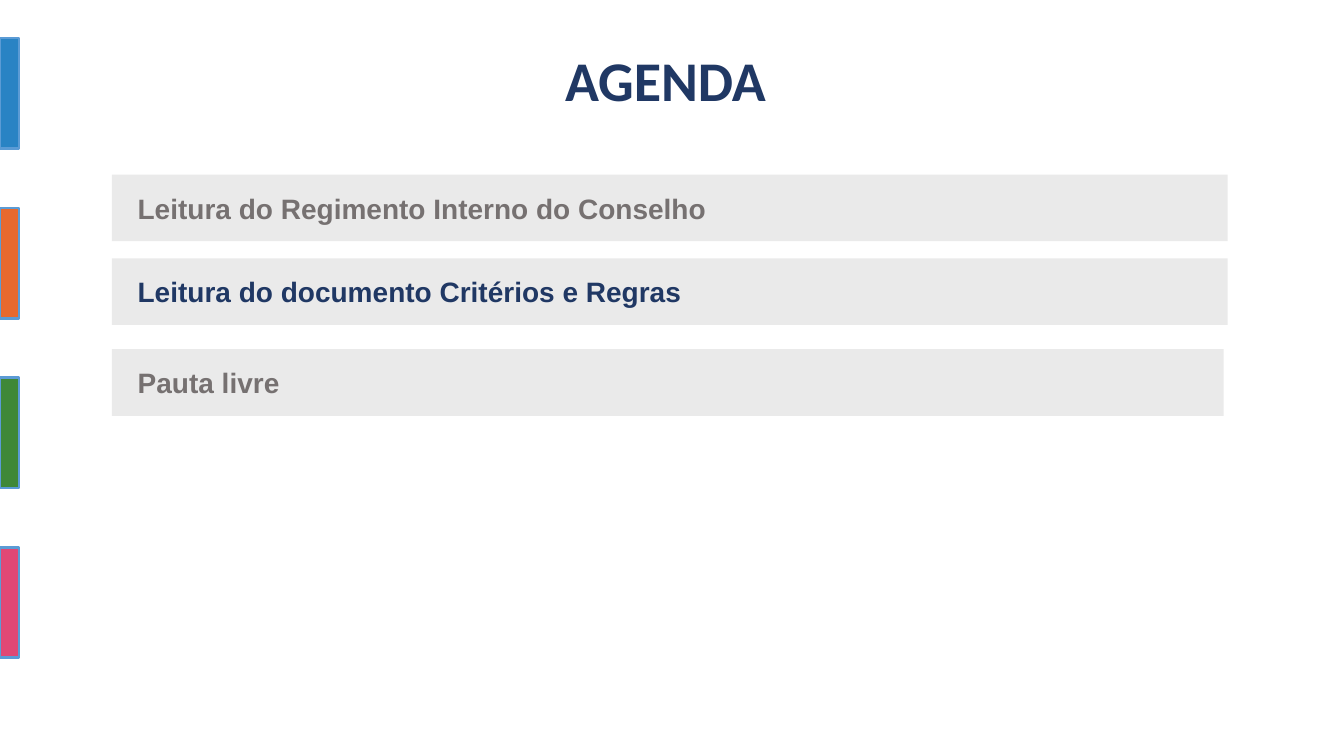
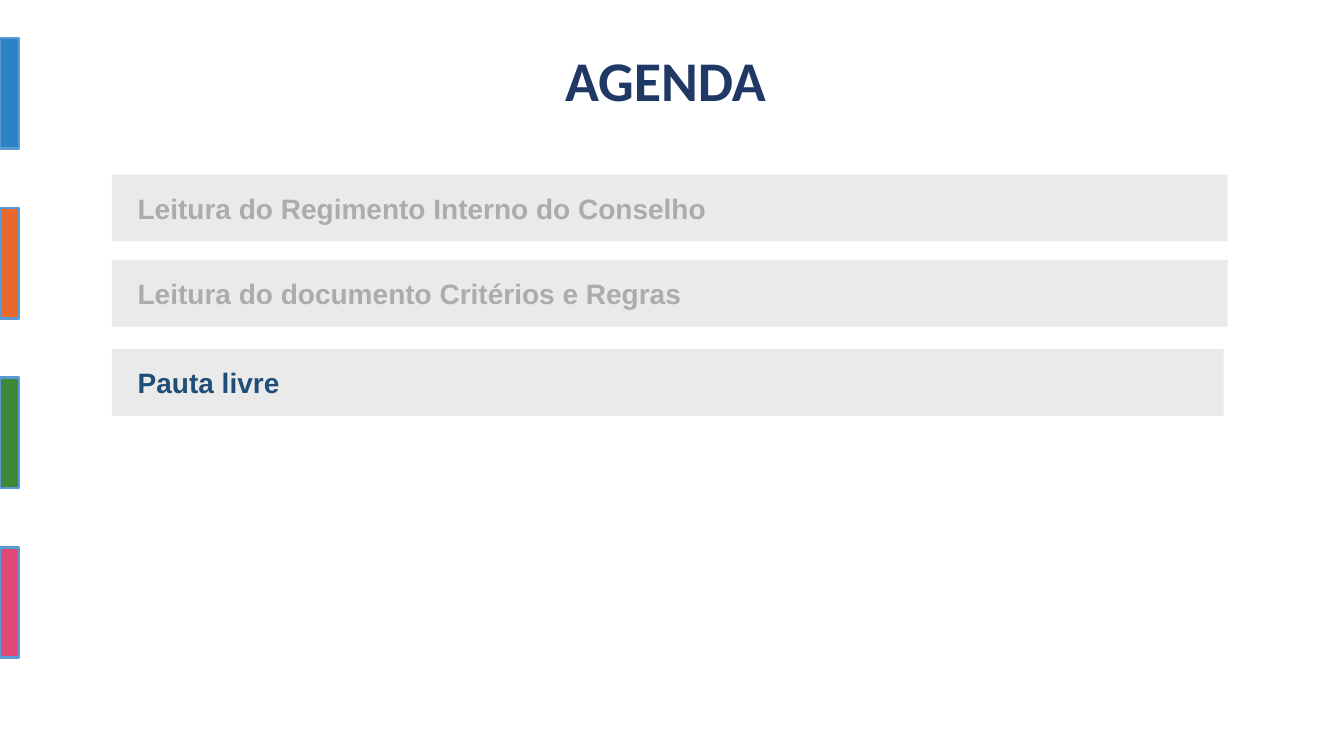
from pptx import Presentation
from pptx.dml.color import RGBColor
from pptx.enum.shapes import MSO_SHAPE
from pptx.enum.text import MSO_ANCHOR, PP_ALIGN
from pptx.util import Cm, Pt

RECTANGLE = MSO_SHAPE.RECTANGLE
MIDDLE = MSO_ANCHOR.MIDDLE
LEFT, CENTER = PP_ALIGN.LEFT, PP_ALIGN.CENTER

NAVY, BLUE = "203864", "1F4E79"
DARK_GRAY, LIGHT_GRAY, BAND_GRAY = "767171", "AFABAB", "EAEAEA"
TAB_LINE = "5B9BD5"
TAB_COLORS = ["2983C4", "E7692E", "3F8837", "E04875"]
TAB_TOP, TAB_PITCH = 0.96, 4.28

TITLE = "AGENDA"
TOPICS = [
    ("Leitura do Regimento Interno do Conselho", 28.12),
    ("Leitura do documento Critérios e Regras", 28.12),
    ("Pauta livre", 28.02),
]
AGENDAS = [
    {"tops": [4.4, 6.51, 8.8], "colors": [DARK_GRAY, NAVY, DARK_GRAY]},
    {"tops": [4.4, 6.55, 8.8], "colors": [LIGHT_GRAY, LIGHT_GRAY, BLUE]},
]


def rgb(color):
    """Turn a hex string into a colour."""
    return RGBColor.from_string(color)


def add_rectangle(slide, left, top, width, height, fill, line=None):
    """Add a flat rectangle, measured in centimetres."""
    shape = slide.shapes.add_shape(RECTANGLE, Cm(left), Cm(top), Cm(width), Cm(height))
    shape.shadow.inherit = False
    shape.fill.solid()
    shape.fill.fore_color.rgb = rgb(fill)
    if line:
        shape.line.color.rgb = rgb(line)
        shape.line.width = Pt(2)
    else:
        shape.line.fill.background()
    return shape


def write(shape, text, font, size, color, alignment):
    """Write one bold paragraph into a shape."""
    shape.text_frame.word_wrap = True
    paragraph = shape.text_frame.paragraphs[0]
    paragraph.text = text
    paragraph.alignment = alignment
    paragraph.font.name = font
    paragraph.font.size = Pt(size)
    paragraph.font.bold = True
    paragraph.font.color.rgb = rgb(color)
    return paragraph


def add_layout_tabs(layout, slide):
    """Replace the layout's placeholders with the coloured side tabs."""
    for placeholder in list(layout.placeholders):
        layout.shapes.element.remove(placeholder.element)
    tabs = [
        add_rectangle(slide, -0.02, TAB_TOP + index * TAB_PITCH, 0.5, 2.78, color, TAB_LINE)
        for index, color in enumerate(TAB_COLORS)
    ]
    for tab in tabs:
        layout.shapes.element.append(tab.element)


def add_agenda(slide, tops, colors):
    """Add the title and one band per topic."""
    title = slide.shapes.add_textbox(Cm(9.1), Cm(1.02), Cm(15.34), Cm(3.5))
    write(title, TITLE, "Calibri", 40, NAVY, CENTER)
    for (topic, width), top, color in zip(TOPICS, tops, colors):
        band = add_rectangle(slide, 2.82, top, width, 1.68, BAND_GRAY)
        band.text_frame.margin_left = Cm(0.65)
        band.text_frame.vertical_anchor = MIDDLE
        paragraph = write(band, topic, "Arial", 20, color, LEFT)
        paragraph.space_before = Pt(4)


def main():
    """Build and save the presentation."""
    presentation = Presentation()
    presentation.slide_width, presentation.slide_height = Cm(33.87), Cm(19.05)
    layout = presentation.slide_layouts[6]
    slides = [presentation.slides.add_slide(layout) for _ in AGENDAS]
    add_layout_tabs(layout, slides[0])
    for slide, agenda in zip(slides, AGENDAS):
        add_agenda(slide, **agenda)
    presentation.save("out.pptx")


if __name__ == "__main__":
    main()
